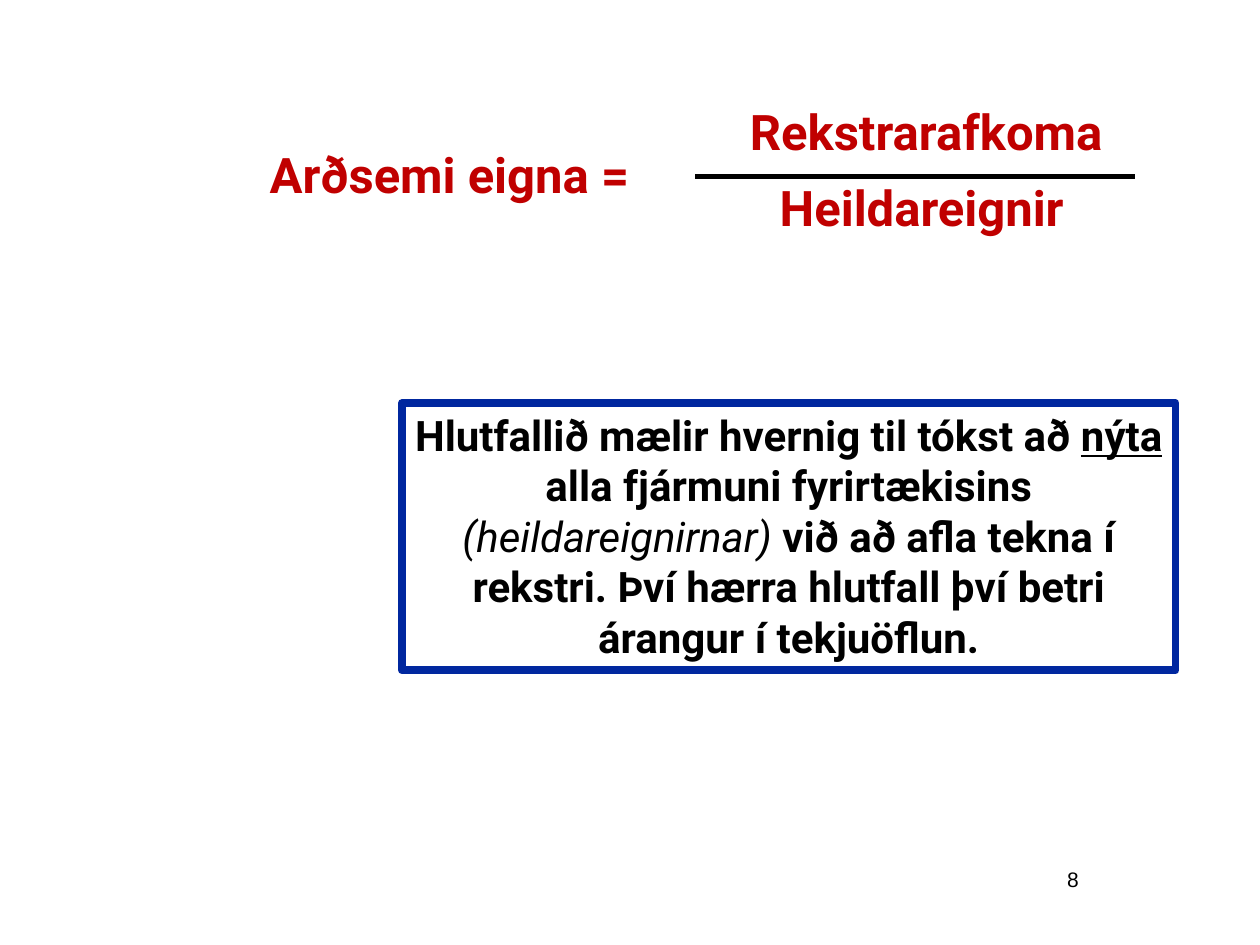
from pptx import Presentation
from pptx.dml.color import RGBColor
from pptx.enum.shapes import MSO_CONNECTOR, MSO_SHAPE
from pptx.enum.text import MSO_ANCHOR, PP_ALIGN
from pptx.util import Inches, Pt
from lxml import etree

LEFT, CENTER, RIGHT = PP_ALIGN.LEFT, PP_ALIGN.CENTER, PP_ALIGN.RIGHT
TOP, MIDDLE = MSO_ANCHOR.TOP, MSO_ANCHOR.MIDDLE
RECT, STRAIGHT = MSO_SHAPE.RECTANGLE, MSO_CONNECTOR.STRAIGHT
DML = "http://schemas.openxmlformats.org/drawingml/2006/main"

COLORS = {"term": "C00000", "ink": "000000", "frame": "00279F", "paper": "FFFFFF"}
TERM = {"name": "Roboto", "size": Pt(28), "bold": True, "color": "term"}
BODY = {"name": "Roboto", "size": Pt(24), "bold": True, "color": "ink"}
NUMBER = {"name": "Arial", "size": Pt(12), "color": "ink"}


class SlideBuilder:
    def __init__(self, slide):
        self.slide = slide

    def color(self, key):
        return RGBColor.from_string(COLORS[key])

    def add_runs(self, s, runs, style, align, anchor=TOP, indent=0.1):
        tf = s.text_frame
        tf.word_wrap = True
        tf.vertical_anchor = anchor
        tf.margin_left = Inches(indent)
        p = tf.paragraphs[0]
        p.alignment = align
        for text, changes in runs:
            r = p.add_run()
            r.text = text
            for key, value in {**style, **changes}.items():
                if key == "color":
                    r.font.color.rgb = self.color(value)
                else:
                    setattr(r.font, key, value)

    def text(self, box, text, style, align, **layout):
        s = self.slide.shapes.add_textbox(*map(Inches, box))
        self.add_runs(s, [(text, {})], style, align, **layout)

    def frame(self, box, runs, style):
        s = self.slide.shapes.add_shape(RECT, *map(Inches, box))
        s.shadow.inherit = False
        s.fill.solid()
        s.fill.fore_color.rgb = self.color("paper")
        s.line.color.rgb = self.color("frame")
        s.line.width = Pt(4.5)
        self.add_runs(s, runs, style, CENTER)

    def line(self, ends, width):
        s = self.slide.shapes.add_connector(STRAIGHT, *map(Inches, ends))
        s.line.color.rgb = self.color("ink")
        s.line.width = Pt(width)
        etree.SubElement(s._element.spPr, f"{{{DML}}}effectLst")


def main():
    prs = Presentation()
    prs.slide_width, prs.slide_height = Inches(10), Inches(7.5)
    b = SlideBuilder(prs.slides.add_slide(prs.slide_layouts[6]))

    # Page number
    b.text((6.58, 6.83, 2.08, 0.5), "8", NUMBER, RIGHT)

    # Formula: name, numerator, denominator and fraction bar
    b.text((0.59, 0.91, 8.98, 0.94), "Arðsemi eigna =", TERM, LEFT,
           anchor=MIDDLE, indent=1.55)
    b.text((5.36, 0.76, 3.98, 0.57), "Rekstrarafkoma", TERM, CENTER)
    b.text((5.3, 1.36, 4.03, 0.74), "Heildareignir", TERM, CENTER)
    b.line((5.52, 1.4, 9.01, 1.4), 3)

    # Explanation
    b.frame((3.19, 3.2, 6.14, 2.12), [
        ("Hlutfallið mælir hvernig til tókst að ", {}),
        ("nýta", {"underline": True}),
        (" alla fjármuni fyrirtækisins ", {}),
        ("(heildareignirnar) ", {"bold": False, "italic": True}),
        ("við að afla tekna í rekstri. Því hærra hlutfall því betri "
         "árangur í tekjuöflun.", {}),
    ], BODY)

    prs.save("out.pptx")


if __name__ == "__main__":
    main()
